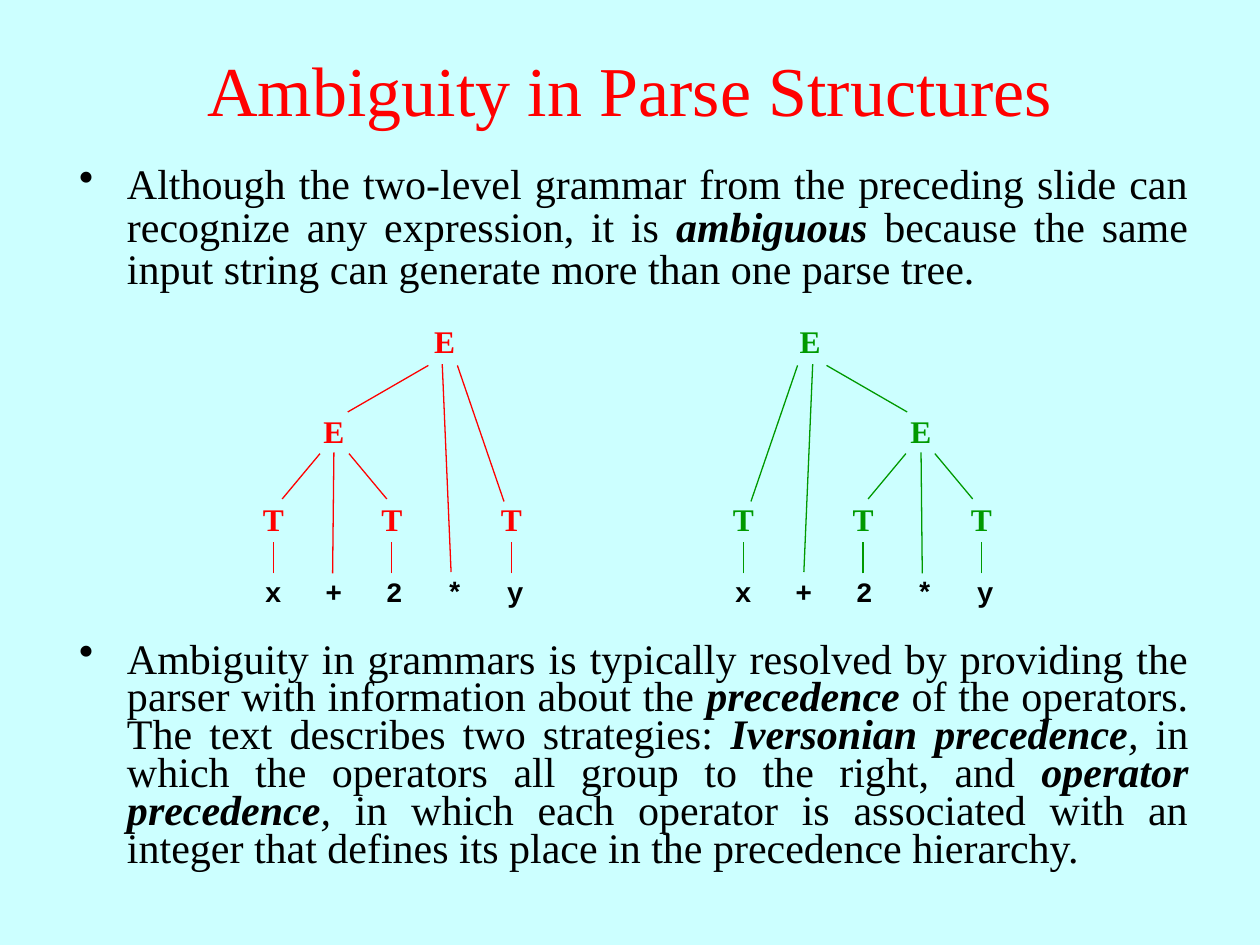
from lxml import etree
from pptx import Presentation
from pptx.dml.color import RGBColor
from pptx.enum import shapes, text
from pptx.oxml import ns
from pptx.util import Inches, Pt

BACKGROUND = RGBColor(0xCC, 0xFF, 0xFF)
RED = RGBColor(0xFF, 0x00, 0x00)
GREEN = RGBColor(0x00, 0x99, 0x00)
BLACK = RGBColor(0x00, 0x00, 0x00)
SERIF, MONO = "Times New Roman", "Courier New"

# Content: runs are (text, style), where style holds "b" and/or "i"
TITLE = "Ambiguity in Parse Structures"
BULLETS = [  # top, height, line spacing, runs
    (1.26, 1.24, 0.85, [
        ("Although the two-level grammar from the preceding slide can "
         "recognize any expression, it is ", ""),
        ("ambiguous", "bi"),
        (" because the same input string can generate more than one parse tree.", ""),
    ]),
    (5.06, 2.19, 0.75, [
        ("Ambiguity in grammars is typically resolved by providing the parser "
         "with information about the ", ""),
        ("precedence", "bi"),
        (" of the operators. The text describes two strategies: ", ""),
        ("Iversonian precedence", "bi"),
        (",", "i"),
        (" in which the operators all group to the right, and ", ""),
        ("operator precedence", "bi"),
        (",", "i"),
        (" in which each operator is associated with an integer that defines "
         "its place in the precedence hierarchy.", ""),
    ]),
]
TOKENS = ["x", "+", "2", "*", "y"]

# Left-grouping tree; the right-grouping tree is its mirror image
NODES = [("E", 3.53, 2.51), ("E", 2.65, 3.22),  # label, centre x, top
         ("T", 2.17, 3.92), ("T", 3.11, 3.92), ("T", 4.06, 3.92)]
BRANCHES = [  # child end, parent end
    ((2.76, 3.27), (3.40, 2.90)), ((3.58, 4.54), (3.51, 2.89)),
    ((4.00, 3.98), (3.63, 2.90)), ((2.24, 3.96), (2.54, 3.60)),
    ((2.64, 4.55), (2.65, 3.59)), ((3.07, 3.96), (2.77, 3.60)),
] + [((x, 4.55), (x, 4.30)) for label, x, top in NODES if label == "T"]
MIRROR_SUM = 9.96  # a point and its mirror image add up to this x
TREES = [  # colour, centre of first token, x mapping
    (RED, 2.17, lambda x: x),
    (GREEN, 5.90, lambda x: MIRROR_SUM - x),
]
TOKEN_TOP, TOKEN_STEP, LABEL_WIDTH = 4.51, 0.48, 0.5

prs = Presentation()
prs.slide_width, prs.slide_height = Inches(10), Inches(7.5)
slide = prs.slides.add_slide(prs.slide_layouts[6])
slide.background.fill.solid()
slide.background.fill.fore_color.rgb = BACKGROUND


def add_text(left, top, width, height, runs, size, color, font=SERIF,
             align=text.PP_ALIGN.CENTER):
    frame = slide.shapes.add_textbox(
        Inches(left), Inches(top), Inches(width), Inches(height)).text_frame
    frame.word_wrap = True
    paragraph = frame.paragraphs[0]
    paragraph.alignment = align
    for wording, style in runs:
        run = paragraph.add_run()
        run.text = wording
        run.font.name, run.font.size = font, Pt(size)
        run.font.bold, run.font.italic = "b" in style, "i" in style
        run.font.color.rgb = color
    return frame


def add_label(label, center, top, height, size, color, font, space_before):
    frame = add_text(center - LABEL_WIDTH / 2, top, LABEL_WIDTH, height,
                     [(label, "b")], size, color, font)
    frame.paragraphs[0].space_before = Pt(space_before)


def add_branch(start, end, color):
    branch = slide.shapes.add_connector(
        shapes.MSO_CONNECTOR.STRAIGHT, *map(Inches, start + end))
    branch.line.color.rgb = color
    branch.line.width = Pt(0.75)
    etree.SubElement(branch._element.spPr, ns.qn("a:effectLst"))


# Title
title = add_text(0, 0.08, 10, 1.25, [(TITLE, "")], 40, RED)
title.vertical_anchor = text.MSO_ANCHOR.MIDDLE

# Bulleted paragraphs
for top, height, spacing, runs in BULLETS:
    frame = add_text(0.53, top, 9, height, runs, 24, BLACK,
                     align=text.PP_ALIGN.JUSTIFY)
    paragraph = frame.paragraphs[0]
    paragraph.line_spacing = spacing
    paragraph.space_after = Pt(6)
    props = paragraph._p.get_or_add_pPr()
    props.set("marL", str(Inches(0.38)))
    props.set("indent", str(Inches(-0.38)))
    bullet_color = etree.SubElement(props, ns.qn("a:buClr"))
    etree.SubElement(bullet_color, ns.qn("a:srgbClr")).set("val", str(BLACK))
    etree.SubElement(props, ns.qn("a:buChar")).set("char", "•")

# Parse trees over their tokens
for color, first_token, place in TREES:
    for i, token in enumerate(TOKENS):
        add_label(token, first_token + i * TOKEN_STEP, TOKEN_TOP, 0.37,
                  16, BLACK, MONO, 10)
    for (x1, y1), (x2, y2) in BRANCHES:
        add_branch((place(x1), y1), (place(x2), y2), color)
    for label, x, top in NODES:
        add_label(label, place(x), top, 0.4, 18, color, SERIF, 11.2)

prs.save("out.pptx")
